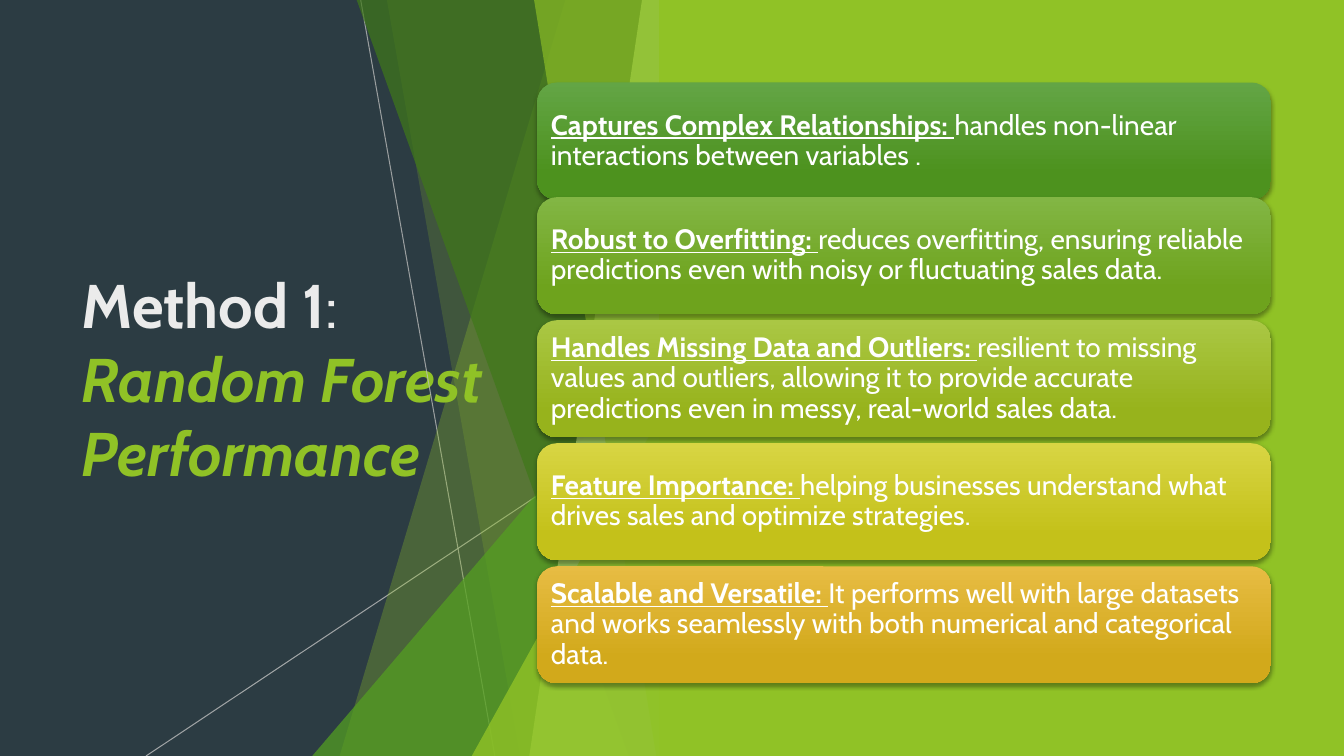
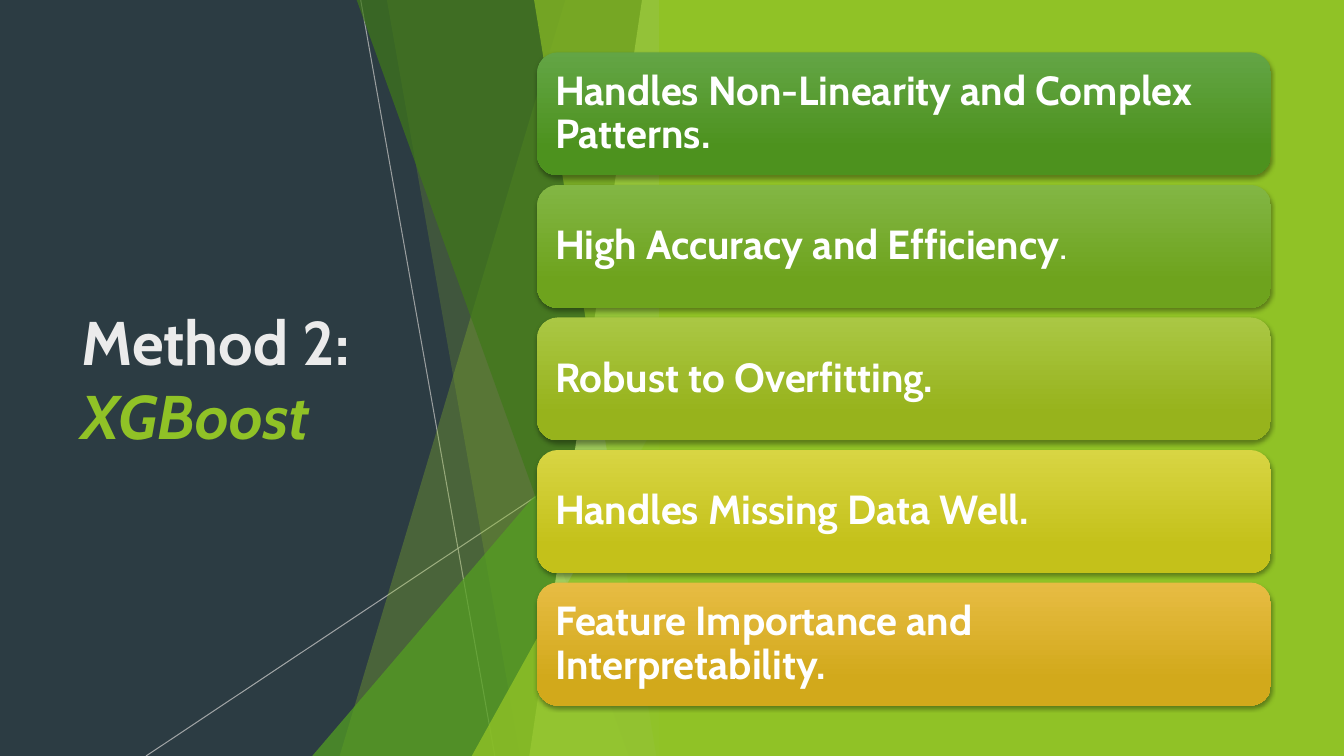
from dataclasses import dataclass

from lxml import etree
from pptx import Presentation
from pptx.dml.color import RGBColor
from pptx.enum.shapes import MSO_CONNECTOR, MSO_SHAPE
from pptx.enum.text import MSO_ANCHOR, MSO_AUTO_SIZE, PP_ALIGN
from pptx.oxml.ns import qn
from pptx.shapes.autoshape import Shape
from pptx.slide import Slide
from pptx.text.text import _Paragraph
from pptx.util import Cm, Pt

STRAIGHT = MSO_CONNECTOR.STRAIGHT
RECTANGLE = MSO_SHAPE.RECTANGLE
ROUNDED = MSO_SHAPE.ROUNDED_RECTANGLE
TRIANGLE = MSO_SHAPE.ISOSCELES_TRIANGLE
MIDDLE = MSO_ANCHOR.MIDDLE
NO_AUTOFIT = MSO_AUTO_SIZE.NONE
LEFT = PP_ALIGN.LEFT

NIGHT = RGBColor(0x2C, 0x3C, 0x43)
LIME = RGBColor(0x90, 0xC2, 0x26)
LEAF = RGBColor(0x54, 0xA0, 0x21)
FOREST = RGBColor(0x3F, 0x78, 0x19)
PALE_LIME = RGBColor(0xC0, 0xE4, 0x74)
SILVER = RGBColor(0xBF, 0xBF, 0xBF)
MIST = RGBColor(0xEB, 0xEB, 0xEB)
WHITE = RGBColor(0xFF, 0xFF, 0xFF)
CARD_GRADIENTS = (
    (RGBColor(0x63, 0xA5, 0x45), RGBColor(0x4D, 0x92, 0x1E)),
    (RGBColor(0x82, 0xB6, 0x44), RGBColor(0x6E, 0xA3, 0x1D)),
    (RGBColor(0xAA, 0xC7, 0x44), RGBColor(0x97, 0xB3, 0x1C)),
    (RGBColor(0xD8, 0xD5, 0x43), RGBColor(0xC4, 0xC1, 0x1A)),
    (RGBColor(0xE7, 0xBC, 0x43), RGBColor(0xD2, 0xA9, 0x1B)),
)

FONT = "Cabin"
PAGE_WIDTH, PAGE_HEIGHT = Cm(33.87), Cm(19.05)
RAYS_RIGHT = Cm(16.92)
PANEL_LEFT = Cm(16.61)
CARD_LEFT, CARD_WIDTH = Cm(13.54), Cm(18.49)


@dataclass(frozen=True)
class Thread:
    start: tuple[float, float]
    end: tuple[float, float]
    opacity: int


@dataclass(frozen=True)
class Band:
    top_left: float
    bottom_left: float
    color: RGBColor
    opacity: int


@dataclass(frozen=True)
class Corner:
    left: float
    top: float
    color: RGBColor
    opacity: int


@dataclass(frozen=True)
class Card:
    lead: str
    detail: str = ""


@dataclass(frozen=True)
class Method:
    label: str
    name: str
    title_width: float
    cards: tuple[Card, ...]
    first_top: float
    pitch: float
    card_height: float
    inset: float
    text_size: int
    underline: bool = False
    first_shift: float = 0


THREADS = (
    Thread((9.09, 0), (12.47, 19.05), 75),
    Thread((16.92, 10.24), (3.68, 19.05), 80),
)
RAYS = (
    Band(14.25, 8.56, LIME, 30),
    Band(9.75, 13.11, LIME, 20),
    Corner(7.87, 8.46, LEAF, 72),
    Band(8.99, 15.85, FOREST, 70),
    Band(16.18, 13.34, PALE_LIME, 70),
    Band(13.46, 16.54, LIME, 65),
    Corner(11.89, 9.98, LIME, 80),
)
METHODS = (
    Method(
        "Method 1", "Random Forest Performance", 10.67,
        (
            Card("Captures Complex Relationships: ",
                 "handles non-linear interactions between variables ."),
            Card("Robust to Overfitting: ",
                 "reduces overfitting, ensuring reliable predictions even with "
                 "noisy or fluctuating sales data."),
            Card("Handles Missing Data and Outliers: ",
                 "resilient to missing values and outliers, allowing it to provide "
                 "accurate predictions even in messy, real-world sales data."),
            Card("Feature Importance: ",
                 "helping businesses understand what drives sales and optimize "
                 "strategies."),
            Card("Scalable and Versatile: ",
                 "It performs well with large datasets and works seamlessly with "
                 "both numerical and categorical data."),
        ),
        first_top=1.87, pitch=3.1, card_height=2.95, inset=0.2, text_size=20,
        underline=True, first_shift=0.21,
    ),
    Method(
        "Method 2:", "XGBoost", 9.86,
        (
            Card("Handles Non-Linearity and Complex Patterns."),
            Card("High Accuracy and Efficiency", "."),
            Card("Robust to Overfitting."),
            Card("Handles Missing Data Well."),
            Card("Feature Importance and Interpretability."),
        ),
        first_top=1.32, pitch=3.34, card_height=3.1, inset=0.3, text_size=29,
    ),
)


def set_opacity(item: etree._Element, percent: int) -> None:
    color = item.find(".//" + qn("a:srgbClr"))
    etree.SubElement(color, qn("a:alpha"), val=str(percent * 1000))


def paint(shape: Shape, color: RGBColor, opacity: int = 100) -> None:
    shape.shadow.inherit = False
    shape.line.fill.background()
    shape.fill.solid()
    shape.fill.fore_color.rgb = color
    if opacity < 100:
        set_opacity(shape.element.spPr, opacity)


def add_span(para: _Paragraph, text: str, bold: bool) -> None:
    span = para.add_run()
    span.text = text
    span.font.bold = bold


def draw_thread(page: Slide, thread: Thread) -> None:
    points = [Cm(value) for value in thread.start + thread.end]
    line = page.shapes.add_connector(STRAIGHT, *points)
    line.line.color.rgb = SILVER
    line.line.width = Pt(0.75)
    set_opacity(line.element.spPr, thread.opacity)
    etree.SubElement(line.element.spPr, qn("a:effectLst"))


def draw_ray(page: Slide, ray: Band | Corner) -> None:
    if isinstance(ray, Band):
        outline = page.shapes.build_freeform(Cm(ray.top_left), 0)
        outline.add_line_segments([
            (RAYS_RIGHT, 0),
            (RAYS_RIGHT, PAGE_HEIGHT),
            (Cm(ray.bottom_left), PAGE_HEIGHT),
        ])
        shape = outline.convert_to_shape()
    else:
        left, top = Cm(ray.left), Cm(ray.top)
        shape = page.shapes.add_shape(
            TRIANGLE, left, top, RAYS_RIGHT - left, PAGE_HEIGHT - top)
        shape.adjustments[0] = 1
    paint(shape, ray.color, ray.opacity)


def draw_backdrop(page: Slide) -> None:
    for thread in THREADS:
        draw_thread(page, thread)
    for ray in RAYS:
        draw_ray(page, ray)
    panel = page.shapes.add_shape(
        RECTANGLE, PANEL_LEFT, 0, PAGE_WIDTH - PANEL_LEFT, PAGE_HEIGHT)
    paint(panel, LIME)


def write_title(page: Slide, method: Method) -> None:
    title = page.shapes.title
    title.left, title.top = Cm(1.8), Cm(3.84)
    title.width, title.height = Cm(method.title_width), Cm(11.36)
    frame = title.text_frame
    frame.word_wrap = True
    frame.auto_size = NO_AUTOFIT
    frame.vertical_anchor = MIDDLE
    para = frame.paragraphs[0]
    para.alignment = LEFT
    para.font.name = FONT
    para.font.size = Pt(44)
    para.font.color.rgb = MIST
    add_span(para, method.label, True)
    add_span(para, " " if method.label.endswith(":") else ": ", False)
    add_span(para, method.name, True)
    name = para.runs[-1].font
    name.italic = True
    name.color.rgb = LIME


def add_card_shadow(box: Shape) -> None:
    box.shadow.inherit = False
    effects = box.element.spPr.find(qn("a:effectLst"))
    shadow = etree.SubElement(
        effects, qn("a:outerShdw"), blurRad=str(Pt(3)), dist=str(Pt(2)),
        dir="5400000", rotWithShape="0")
    etree.SubElement(shadow, qn("a:srgbClr"), val="000000")
    set_opacity(shadow, 35)


def draw_card(page: Slide, method: Method, index: int) -> None:
    card = method.cards[index]
    shift = method.first_shift if index == 0 else 0
    top = Cm(method.first_top + index * method.pitch + shift)
    box = page.shapes.add_shape(
        ROUNDED, CARD_LEFT, top, CARD_WIDTH, Cm(method.card_height))
    box.line.fill.background()
    box.fill.gradient()
    box.fill.gradient_angle = 270
    stops = zip(box.fill.gradient_stops, CARD_GRADIENTS[index], (0, 0.78))
    for stop, color, position in stops:
        stop.color.rgb = color
        stop.position = position
    add_card_shadow(box)

    frame = box.text_frame
    frame.word_wrap = True
    frame.vertical_anchor = MIDDLE
    frame.margin_left = frame.margin_right = Cm(method.inset)
    frame.margin_top = frame.margin_bottom = Cm(method.inset)
    para = frame.paragraphs[0]
    para.alignment = LEFT
    para.line_spacing = 0.9
    para.font.name = FONT
    para.font.size = Pt(method.text_size)
    para.font.color.rgb = WHITE
    add_span(para, card.lead, True)
    if method.underline:
        para.runs[0].font.underline = True
    if card.detail:
        add_span(para, card.detail, False)


def main() -> None:
    deck = Presentation()
    deck.slide_width, deck.slide_height = PAGE_WIDTH, PAGE_HEIGHT
    background = deck.slide_master.background.fill
    background.solid()
    background.fore_color.rgb = NIGHT
    title_only = deck.slide_layouts.get_by_name("Title Only")
    for method in METHODS:
        page = deck.slides.add_slide(title_only)
        write_title(page, method)
        draw_backdrop(page)
        for index in range(len(method.cards)):
            draw_card(page, method, index)
    deck.save("out.pptx")


if __name__ == "__main__":
    main()
